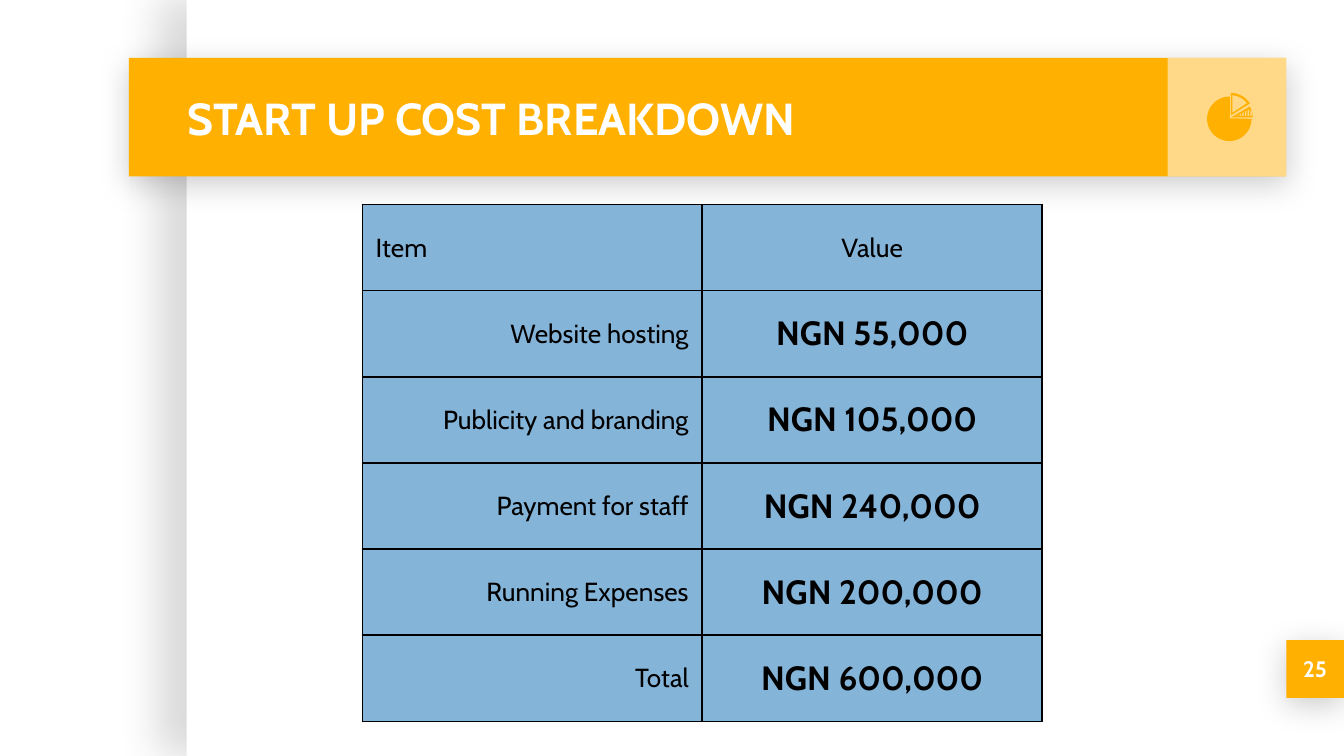
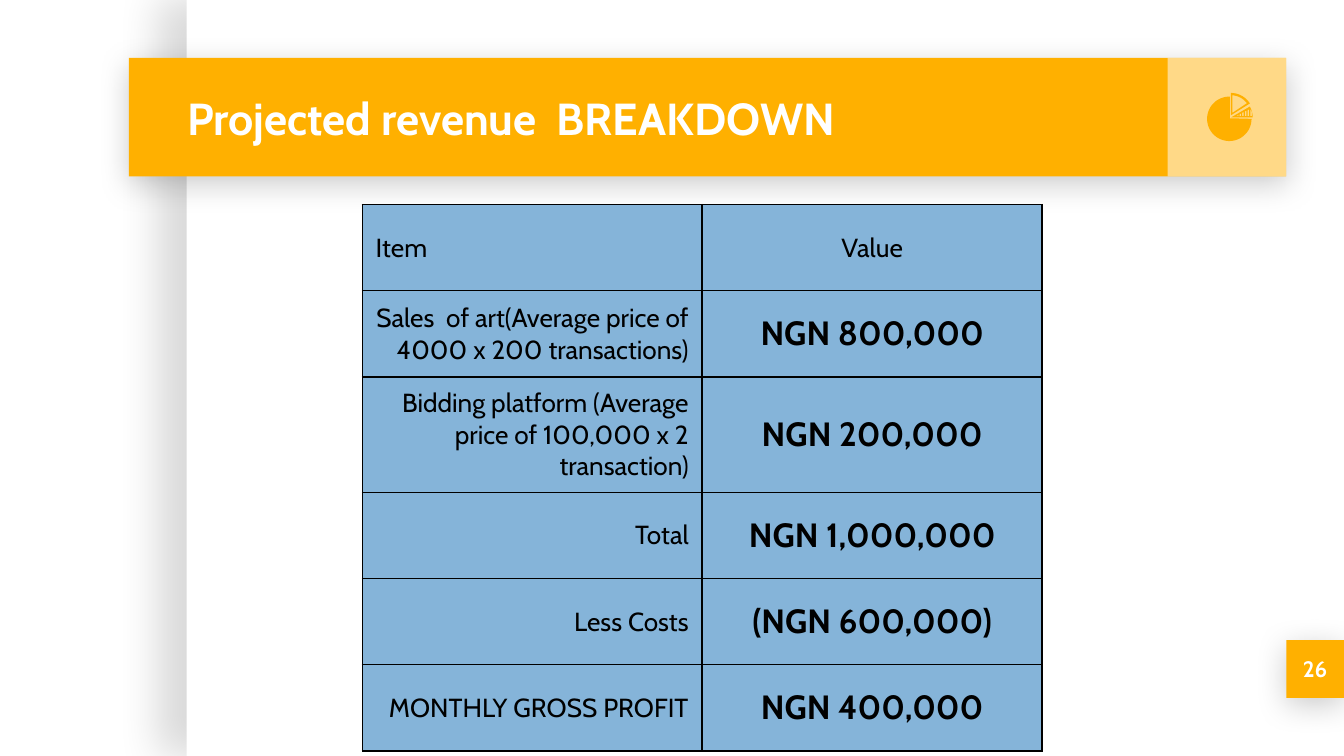
from dataclasses import dataclass
from math import cos, radians, sin

from lxml import etree
from pptx import Presentation
from pptx.dml.color import RGBColor
from pptx.enum.shapes import MSO_SHAPE
from pptx.enum.text import MSO_ANCHOR, MSO_AUTO_SIZE, PP_ALIGN
from pptx.oxml.ns import qn
from pptx.util import Pt

RECT = MSO_SHAPE.RECTANGLE
MIDDLE = MSO_ANCHOR.MIDDLE
NO_FIT = MSO_AUTO_SIZE.NONE
LEFT, CENTER, RIGHT = PP_ALIGN.LEFT, PP_ALIGN.CENTER, PP_ALIGN.RIGHT


@dataclass(frozen=True)
class Theme:
    font: str = "Cabin"
    white: str = "FFFFFF"
    black: str = "000000"
    amber: str = "FFB000"
    blue: str = "85B4D9"
    title: float = 24
    value: float = 18
    body: float = 14
    page: float = 12
    inset: float = 7.2
    cell_inset: float = 5.4
    panel_shadow: tuple = (15, 22.5, 15, 180)
    band_shadow: tuple = (20, 16.9, 3.8, 90)


WIDTH, HEIGHT = 720, 405
PANEL_X = 100
BAND_X, BAND_Y, BAND_W, BAND_H = 69.1, 31, 620, 63.5
BAND_END = BAND_X + BAND_W
PAGE_TAB = (BAND_END, 342.9, WIDTH - BAND_END, 31)
TITLE_BOX = (93, BAND_Y, 530.5, BAND_H)
TABLE_X, TABLE_Y, COL_W, ROW_H = 194.1, 109.6, 182.1, 46.15

SLIDES = [
    ("START UP COST BREAKDOWN", 25, [
        ("Item", "Value"),
        ("Website hosting", "NGN 55,000"),
        ("Publicity and branding", "NGN 105,000"),
        ("Payment for staff", "NGN 240,000"),
        ("Running Expenses", "NGN 200,000"),
        ("Total", "NGN 600,000"),
    ]),
    ("Projected revenue  BREAKDOWN", 26, [
        ("Item", "Value"),
        ("Sales  of art(Average price of 4000 x 200 transactions)", "NGN 800,000"),
        ("Bidding platform (Average price of 100,000 x 2 transaction)", "NGN 200,000"),
        ("Total", "NGN 1,000,000"),
        ("Less Costs", "(NGN 600,000)"),
        ("MONTHLY GROSS PROFIT", "NGN 400,000"),
    ]),
]


def arc(cx, cy, r, start, end, step=5):
    angles = [radians(a) for a in (*range(start, end, step), end)]
    return [(cx + r * cos(a), cy - r * sin(a)) for a in angles]


def pie_icon():
    body = [*arc(658.6, 63.7, 11.9, 90, 360), (658.9, 63.4), (658.9, 51.8)]

    slice_edge = [(659.4, 61.8), *arc(659.4, 61.8, 12, 32, 90)]
    slice_hole = [(660.2, 60.5), *arc(659.4, 61.8, 10.8, 37, 86)]

    wedge = [(659.5, 62.9), *arc(659.5, 62.9, 11.6, 0, 30)]
    base, bar_w, pitch = 62.2, 0.8, 1.44
    tops = [(0, 0.8), (1, 1.4), (1.8, 2.2), (2.5, 2.9), (3.2, 3.6), (4, 2.4)]
    bars = []
    for i, (left_h, right_h) in enumerate(tops):
        x = 662.6 + i * pitch
        bars.append([(x, base), (x, base - left_h),
                     (x + bar_w, base - right_h), (x + bar_w, base)])
    return [[body], [wedge, *bars], [slice_edge, slice_hole]]


class Deck:
    def __init__(self, theme):
        self.theme = theme
        self.prs = Presentation()
        self.prs.slide_width, self.prs.slide_height = Pt(WIDTH), Pt(HEIGHT)
        self.s = None

    def new_slide(self):
        self.s = self.prs.slides.add_slide(self.prs.slide_layouts[5])
        fill = self.s.background.fill
        fill.solid()
        fill.fore_color.rgb = RGBColor.from_string(self.theme.white)

    def paint(self, sp, color):
        sp.shadow.inherit = False
        sp.fill.solid()
        sp.fill.fore_color.rgb = RGBColor.from_string(color)
        sp.line.fill.background()

    def rect(self, x, y, w, h, color, shadow=None, opacity=None):
        sp = self.s.shapes.add_shape(RECT, Pt(x), Pt(y), Pt(w), Pt(h))
        self.paint(sp, color)
        if shadow:
            alpha, blur, dist, angle = shadow
            effects = sp.element.spPr.find(qn("a:effectLst"))
            outer = etree.SubElement(
                effects, qn("a:outerShdw"), blurRad=str(Pt(blur)), dist=str(Pt(dist)),
                dir=str(angle * 60000), algn="bl", rotWithShape="0")
            clr = etree.SubElement(outer, qn("a:srgbClr"), val=self.theme.black)
            etree.SubElement(clr, qn("a:alpha"), val=str(alpha * 1000))
        if opacity:
            clr = sp.element.spPr.find(qn("a:solidFill"))[0]
            etree.SubElement(clr, qn("a:alpha"), val=str(opacity * 1000))

    def set_text(self, tf, text, size, color, align, bold=False):
        p = tf.paragraphs[0]
        p.text = text
        p.alignment = align
        p.font.name = self.theme.font
        p.font.size = Pt(size)
        p.font.bold = bold
        p.font.color.rgb = RGBColor.from_string(color)

    def label(self, sp, text, size, align):
        tf = sp.text_frame
        tf.word_wrap = True
        tf.auto_size = NO_FIT
        tf.vertical_anchor = MIDDLE
        tf.margin_left = tf.margin_right = Pt(self.theme.inset)
        tf.margin_top = tf.margin_bottom = Pt(self.theme.inset)
        self.set_text(tf, text, size, self.theme.white, align, True)

    def frame(self):
        t = self.theme
        self.rect(PANEL_X, 0, WIDTH - PANEL_X, HEIGHT, t.white, t.panel_shadow)
        self.rect(*PAGE_TAB, t.amber, t.band_shadow)
        self.rect(BAND_X, BAND_Y, BAND_W, BAND_H, t.amber, t.band_shadow)
        self.rect(BAND_END - BAND_H, BAND_Y, BAND_H, BAND_H, t.white, opacity=53)

    def title(self, text):
        sp = self.s.shapes.title
        sp.left, sp.top, sp.width, sp.height = map(Pt, TITLE_BOX)
        sp.element.getparent().append(sp.element)
        self.label(sp, text, self.theme.title, LEFT)

    def page_number(self, number):
        sp = self.s.shapes.add_textbox(*map(Pt, PAGE_TAB))
        self.label(sp, str(number), self.theme.page, CENTER)

    def cell(self, cell, text, size, align, bold):
        t = self.theme
        cell.vertical_anchor = MIDDLE
        cell.margin_left = cell.margin_right = Pt(t.inset)
        cell.margin_top = cell.margin_bottom = Pt(t.cell_inset)
        cell.fill.solid()
        cell.fill.fore_color.rgb = RGBColor.from_string(t.blue)
        self.set_text(cell.text_frame, text, size, t.black, align, bold)

    def borders(self, sp):
        for props in sp.element.iter(qn("a:tcPr")):
            for i, side in enumerate("LRTB"):
                ln = etree.Element(qn(f"a:ln{side}"), w=str(Pt(1)))
                fill = etree.SubElement(ln, qn("a:solidFill"))
                etree.SubElement(fill, qn("a:srgbClr"), val=self.theme.black)
                props.insert(i, ln)

    def table(self, rows):
        t = self.theme
        sp = self.s.shapes.add_table(
            len(rows), 2, Pt(TABLE_X), Pt(TABLE_Y),
            Pt(2 * COL_W), Pt(len(rows) * ROW_H))
        table = sp.table
        table.first_row = table.horz_banding = False
        for col in table.columns:
            col.width = Pt(COL_W)
        for i, (item, value) in enumerate(rows):
            table.rows[i].height = Pt(ROW_H)
            head = i == 0
            self.cell(table.cell(i, 0), item, t.body, LEFT if head else RIGHT, False)
            self.cell(table.cell(i, 1), value, t.body if head else t.value,
                      CENTER, not head)
        self.borders(sp)

    def icon(self, outlines):
        group = self.s.shapes.add_group_shape()
        for contours in outlines:
            builder = None
            for contour in contours:
                start, *rest = [(Pt(x), Pt(y)) for x, y in contour]
                if builder is None:
                    builder = group.shapes.build_freeform(*start)
                else:
                    builder.move_to(*start)
                builder.add_line_segments(rest, close=True)
            self.paint(builder.convert_to_shape(), self.theme.amber)


def main():
    deck = Deck(Theme())
    for title, number, rows in SLIDES:
        deck.new_slide()
        deck.frame()
        deck.title(title)
        deck.table(rows)
        deck.page_number(number)
        deck.icon(pie_icon())
    deck.prs.save("out.pptx")


if __name__ == "__main__":
    main()
